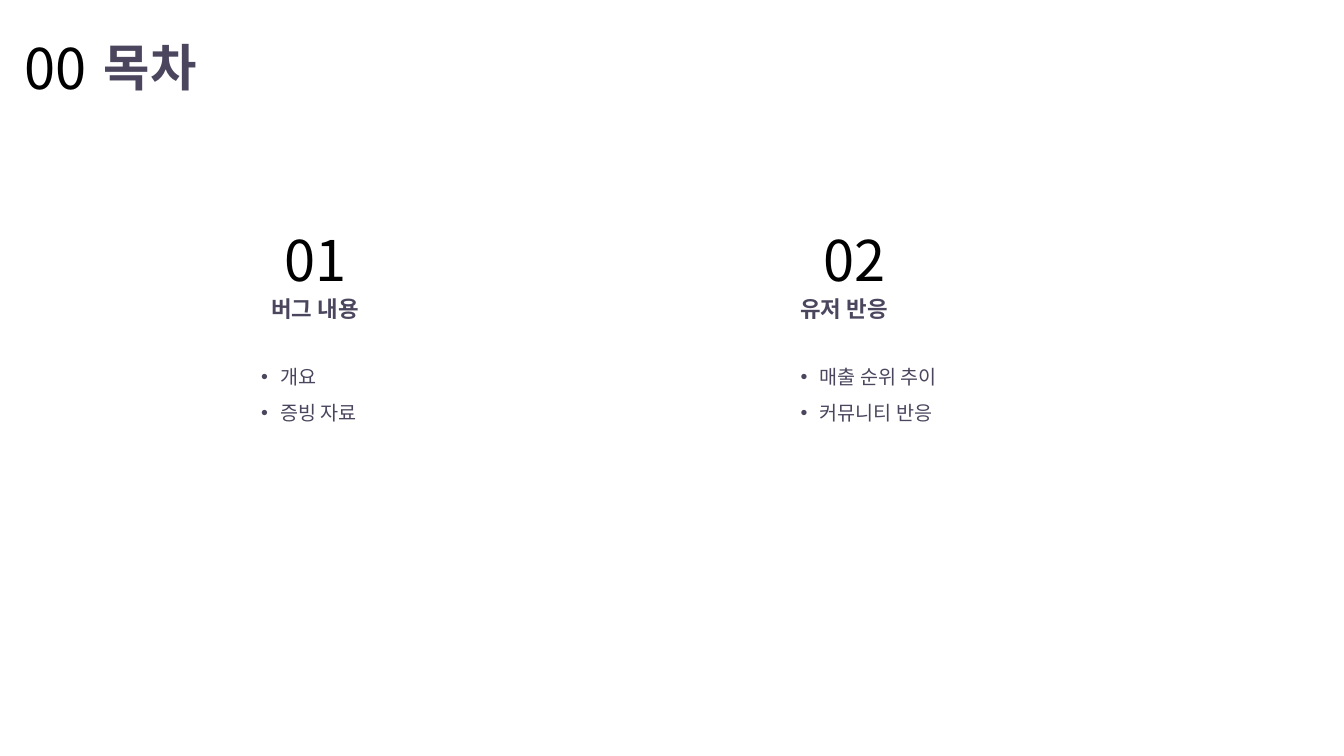
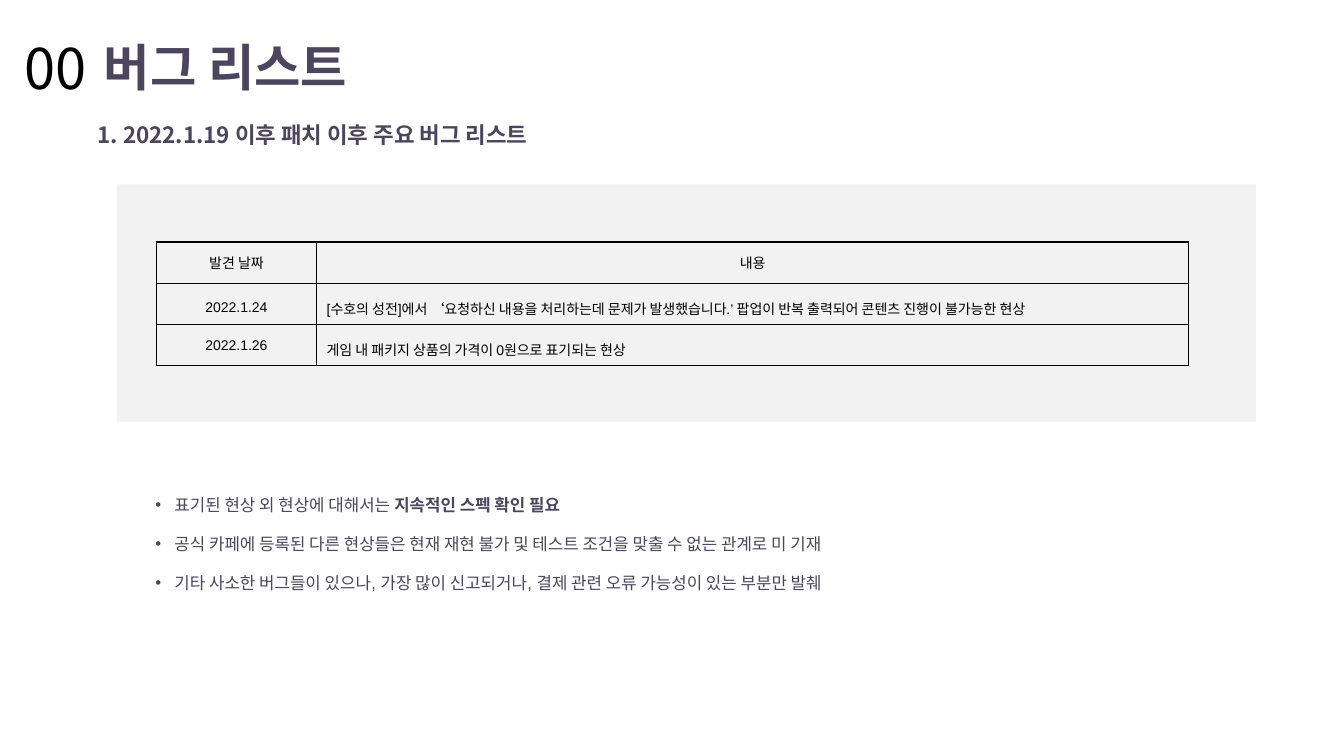
from dataclasses import dataclass
from typing import Optional

from lxml.etree import SubElement
from pptx import Presentation
from pptx.dml.color import RGBColor
from pptx.enum.shapes import MSO_SHAPE as Shape
from pptx.enum.text import MSO_ANCHOR as Anchor, MSO_AUTO_SIZE as AutoSize, PP_ALIGN as Align
from pptx.oxml.ns import qn
from pptx.util import Pt

EMU_PER_PX = 9144  # 100 px to the inch


def px(length: int) -> int:
    return length * EMU_PER_PX


@dataclass(frozen=True)
class Theme:
    ink: str = "4B465E"
    black: str = "000000"
    white: str = "FFFFFF"
    panel: str = "F2F2F2"
    sans: str = "Arial"
    korean: str = "Noto Sans CJK KR"
    number_size: int = 40
    title_size: int = 36
    heading_size: int = 16
    agenda_size: int = 14
    note_size: int = 12
    table_size: int = 10


THEME = Theme()


@dataclass(frozen=True)
class Box:
    left: int
    top: int
    width: int
    height: int

    def emu(self) -> tuple:
        return tuple(map(px, (self.left, self.top, self.width, self.height)))


@dataclass(frozen=True)
class TextStyle:
    size: int
    font: str = THEME.korean
    color: str = THEME.ink
    bold: bool = False
    align: Align = Align.LEFT
    line_spacing: float = 1.0
    bullet: bool = False


NUMBER = TextStyle(THEME.number_size, color=THEME.black, align=Align.CENTER)
TITLE = TextStyle(THEME.title_size, THEME.sans, bold=True)
HEADING = TextStyle(THEME.heading_size, bold=True)
HEADING_CENTERED = TextStyle(THEME.heading_size, bold=True, align=Align.CENTER)
AGENDA = TextStyle(THEME.agenda_size, line_spacing=1.2, bullet=True)
NOTES = TextStyle(THEME.note_size, THEME.sans, line_spacing=1.5, bullet=True)


@dataclass(frozen=True)
class Section:
    number: str
    heading: str
    heading_style: TextStyle
    items: tuple
    left: int
    list_width: int


SECTIONS = (
    Section("01", "버그 내용", HEADING_CENTERED, ("개요", "증빙 자료"), 249, 149),
    Section("02", "유저 반응", HEADING, ("매출 순위 추이", "커뮤니티 반응"), 784, 199),
)

BUG_ROWS = (
    ("발견 날짜", "내용"),
    ("2022.1.24", "[수호의 성전]에서 ‘요청하신 내용을 처리하는데 문제가 발생했습니다.’ "
                  "팝업이 반복 출력되어 콘텐츠 진행이 불가능한 현상"),
    ("2022.1.26", "게임 내 패키지 상품의 가격이 0원으로 표기되는 현상"),
)

BUG_NOTES = (
    "표기된 현상 외 현상에 대해서는 ",
    "공식 카페에 등록된 다른 현상들은 현재 재현 불가 및 테스트 조건을 맞출 수 없는 관계로 미 기재",
    "기타 사소한 버그들이 있으나, 가장 많이 신고되거나, 결제 관련 오류 가능성이 있는 부분만 발췌",
)


# Text
def style_paragraph(paragraph, style: TextStyle, space_before: int = 0) -> None:
    properties = paragraph._p.get_or_add_pPr()
    if style.bullet:
        properties.set("marL", str(px(19)))
        properties.set("indent", str(-px(19)))
        SubElement(properties, qn("a:buFont"), typeface=THEME.sans)
        SubElement(properties, qn("a:buChar"), char="•")
    paragraph.alignment = style.align
    paragraph.line_spacing = style.line_spacing
    paragraph.space_before = Pt(space_before)
    font = paragraph.font
    font.size, font.bold, font.name = Pt(style.size), style.bold, style.font
    font.color.rgb = RGBColor.from_string(style.color)
    SubElement(properties.find(qn("a:defRPr")), qn("a:ea"), typeface=THEME.korean)


def write_text(shape, lines: tuple, style: TextStyle, wrap: bool = True) -> None:
    frame = shape.text_frame
    frame.word_wrap = wrap
    frame.auto_size = AutoSize.SHAPE_TO_FIT_TEXT
    frame.vertical_anchor = Anchor.TOP
    for index, line in enumerate(lines):
        paragraph = frame.add_paragraph() if index else frame.paragraphs[0]
        paragraph.add_run().text = line
        style_paragraph(paragraph, style, 6 if index else 0)


def add_text(slide, box: Box, text: str, style: TextStyle, wrap: bool = True) -> None:
    write_text(slide.shapes.add_textbox(*box.emu()), (text,), style, wrap)


def fill_placeholder(shape, box: Box, lines: tuple, style: TextStyle) -> None:
    shape.left, shape.top, shape.width, shape.height = box.emu()
    write_text(shape, lines, style)


# Shapes and tables
def add_rectangle(slide, box: Box, color: str, opacity: Optional[int] = None):
    shape = slide.shapes.add_shape(Shape.RECTANGLE, *box.emu())
    shape.shadow.inherit = False
    shape.fill.solid()
    shape.fill.fore_color.rgb = RGBColor.from_string(color)
    shape.line.fill.background()
    if opacity is not None:
        fill_color = shape._element.spPr.find(qn("a:solidFill"))[0]
        SubElement(fill_color, qn("a:alpha"), val=str(opacity * 1000))
    return shape


def outline_cell(cell) -> None:
    properties = cell._tc.get_or_add_tcPr()
    for side in ("lnL", "lnR", "lnT", "lnB"):
        line = SubElement(properties, qn(f"a:{side}"), w=str(Pt(1)))
        fill = SubElement(line, qn("a:solidFill"))
        SubElement(fill, qn("a:srgbClr"), val=THEME.black)
    cell.fill.background()


def add_bug_table(slide, box: Box, column_widths: tuple) -> None:
    table = slide.shapes.add_table(len(BUG_ROWS), len(column_widths), *box.emu()).table
    table.first_row = table.horz_banding = False
    for column, width in zip(table.columns, column_widths):
        column.width = px(width)
    for row_index, texts in enumerate(BUG_ROWS):
        table.rows[row_index].height = px(box.height // len(BUG_ROWS))
        for column_index, text in enumerate(texts):
            cell = table.cell(row_index, column_index)
            outline_cell(cell)
            last_row = row_index == len(BUG_ROWS) - 1
            cell.vertical_anchor = Anchor.TOP if last_row else Anchor.MIDDLE
            centered = row_index == 0 or column_index == 0
            style = TextStyle(THEME.table_size, THEME.sans, THEME.black,
                              align=Align.CENTER if centered else Align.LEFT,
                              line_spacing=1.5 if row_index else 1.0)
            paragraph = cell.text_frame.paragraphs[0]
            paragraph.add_run().text = text
            style_paragraph(paragraph, style)


# Slides
def add_titled_slide(presentation, layout_index: int, title: str, title_width: int):
    slide = presentation.slides.add_slide(presentation.slide_layouts[layout_index])
    add_text(slide, Box(9, 28, 92, 77), "00", NUMBER, wrap=False)
    fill_placeholder(slide.shapes.title, Box(93, 31, title_width, 71), (title,), TITLE)
    return slide


def build_agenda(presentation) -> None:
    slide = add_titled_slide(presentation, 3, "목차", 410)
    for index, section in enumerate(SECTIONS, start=1):
        left = section.left
        add_text(slide, Box(left + 18, 219, 92, 77), section.number, NUMBER, wrap=False)
        heading = add_rectangle(slide, Box(left, 288, 127, 37), THEME.white, opacity=70)
        write_text(heading, (section.heading,), section.heading_style)
        fill_placeholder(slide.placeholders[index], Box(left, 352, section.list_width, 72),
                         section.items, AGENDA)


def build_bug_list(presentation) -> None:
    slide = add_titled_slide(presentation, 1, "버그 리스트", 508)
    add_text(slide, Box(87, 115, 534, 37), "1. 2022.1.19 이후 패치 이후 주요 버그 리스트", HEADING)
    add_rectangle(slide, Box(116, 183, 1130, 236), THEME.panel)
    add_bug_table(slide, Box(155, 240, 1024, 123), (159, 865))
    notes = slide.placeholders[1]
    fill_placeholder(notes, Box(144, 476, 1024, 114), BUG_NOTES, NOTES)
    emphasis = notes.text_frame.paragraphs[0].add_run()
    emphasis.text = "지속적인 스펙 확인 필요"
    emphasis.font.bold = True


def main() -> None:
    presentation = Presentation()
    presentation.slide_width, presentation.slide_height = px(1333), px(750)
    build_agenda(presentation)
    build_bug_list(presentation)
    presentation.save("out.pptx")


if __name__ == "__main__":
    main()
